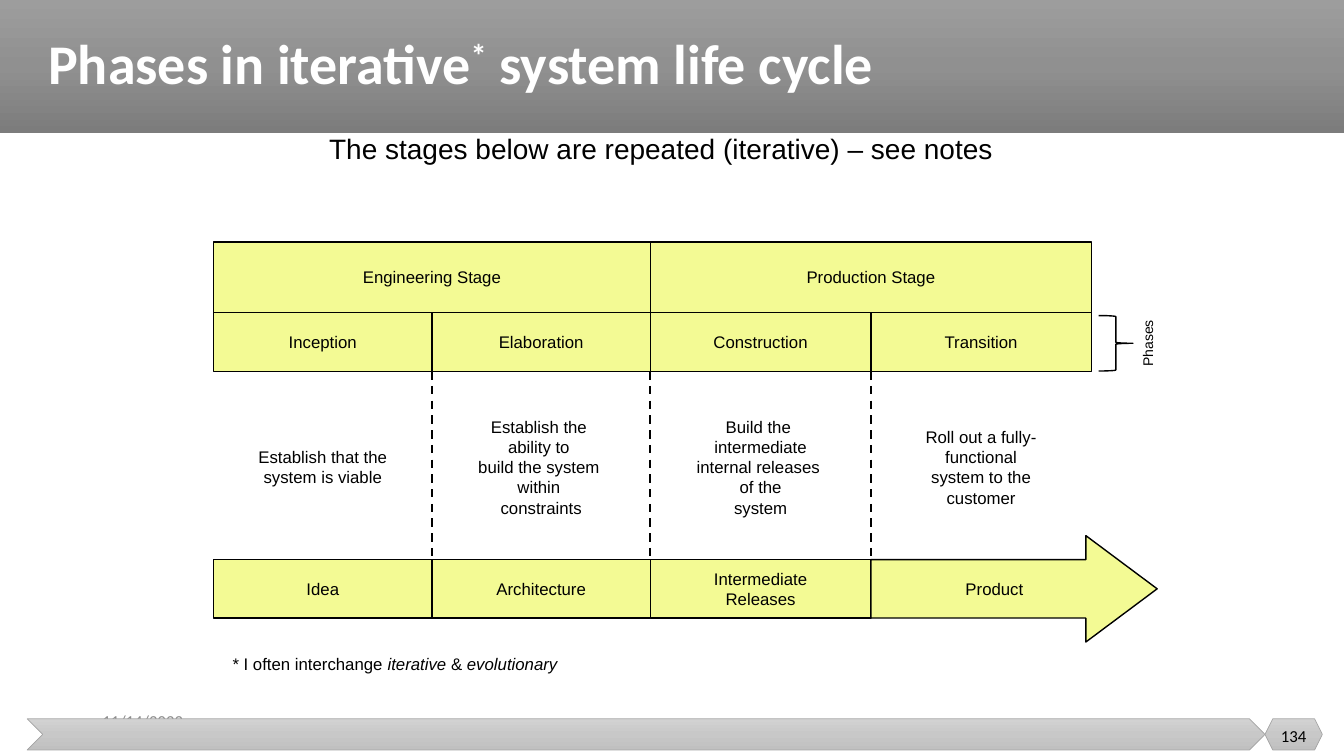
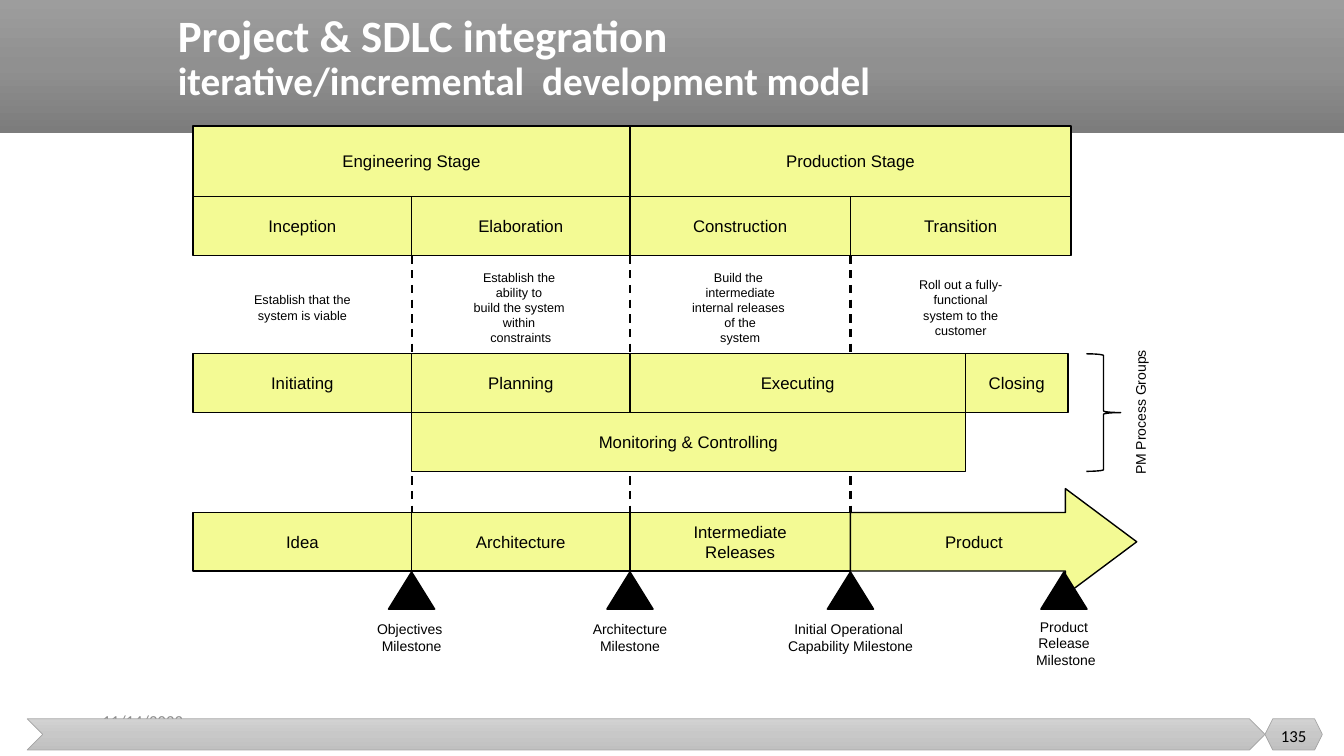
from collections import namedtuple
from copy import deepcopy
from itertools import pairwise

from lxml.etree import SubElement
from pptx import Presentation
from pptx.dml.color import RGBColor
from pptx.enum.dml import MSO_LINE
from pptx.enum.shapes import MSO_CONNECTOR, MSO_SHAPE as Preset
from pptx.enum.text import MSO_ANCHOR as Anchor, PP_ALIGN as Align
from pptx.oxml.ns import qn
from pptx.util import Pt

COLORS = {
    "ink": "000000",
    "title": "FFFFFF",
    "box": "F3FA94",
    "date": "8C8C8C",
    "footer_line": "A5A5A5",
}
BAND_GRADIENT = ("9D9D9D", "909090", "7C7C7C")
FOOTER_GRADIENT = ("D2D2D2", "C8C8C8", "C0C0C0")

Box = namedtuple("Box", "left top width height")

COLUMNS = (0, 156, 312, 469.5, 627)
STAGE_HEIGHT = 50.4
ROW_HEIGHT = 42
STAGES = ("Engineering Stage", "Production Stage")
PHASES = ("Inception", "Elaboration", "Construction", "Transition")
GOALS = (
    ("Establish that the", "system is viable"),
    ("Establish the ", "ability to ", "build the system ", "within ", "constraints"),
    ("Build the ", "intermediate", "internal releases ", "of the", "system"),
    ("Roll out a fully-", "functional", "system to the", "customer"),
)
OUTPUTS = ("Idea", "Architecture", "Intermediate\nReleases")
MILESTONES = (
    (156, 440, ("Objectives ", "Milestone")),
    (312, 440, ("Architecture", "Milestone")),
    (469.5, 440, ("Initial Operational ", "Capability Milestone")),
    (622, 438, ("Product", "Release", " Milestone")),
)


def rgb(name):
    return RGBColor.from_string(COLORS[name])


def plain(lines):
    return [[(line, {})] for line in lines]


def write(shape, paragraphs, size, font="Arial", color="ink", bold=False,
          align=Align.CENTER, anchor=Anchor.MIDDLE, spacing=None):
    frame = shape.text_frame
    frame.word_wrap = True
    frame.vertical_anchor = anchor
    for index, runs in enumerate(paragraphs):
        paragraph = frame.add_paragraph() if index else frame.paragraphs[0]
        paragraph.alignment = align
        if spacing:
            paragraph.line_spacing = spacing
        for text, style in runs:
            if text == "\n":
                paragraph.add_line_break()
                continue
            run = paragraph.add_run()
            run.text = text
            run.font.name = font
            run.font.size = Pt(style.get("size", size))
            run.font.bold = bold
            run.font.italic = style.get("italic", False)
            run.font.color.rgb = rgb(color)
            if "baseline" in style:
                run.font._rPr.set("baseline", style["baseline"])


def add_text(slide, box, paragraphs, size, **style):
    text = slide.shapes.add_textbox(*map(Pt, box))
    write(text, paragraphs, size, **style)
    return text


def add_preset(slide, preset, box, fill="box", line="ink", weight=1, adjust=()):
    shape = slide.shapes.add_shape(preset, *map(Pt, box))
    shape.shadow.inherit = False
    for index, value in enumerate(adjust):
        shape.adjustments[index] = value
    if fill:
        shape.fill.solid()
        shape.fill.fore_color.rgb = rgb(fill)
    else:
        shape.fill.background()
    if line:
        shape.line.color.rgb = rgb(line)
        shape.line.width = Pt(weight)
    else:
        shape.line.fill.background()
    return shape


def shade(shape, colors):
    shape.fill.gradient()
    shape.fill.gradient_angle = 270
    stops = shape.element.spPr.find(".//" + qn("a:gsLst"))
    stops.append(deepcopy(stops[0]))
    for stop, position, color in zip(shape.fill.gradient_stops, (0, 0.5, 1), colors):
        stop.position = position
        stop.color.rgb = RGBColor.from_string(color)


def add_frame(slide, title_box, title, title_size, number):
    band = add_preset(slide, Preset.RECTANGLE, Box(0, 0, 960, 95), line=None)
    shade(band, BAND_GRADIENT)
    add_text(slide, Box(66, 500.4, 216, 28.8), plain(["11/14/2022"]), 12,
             font="Calibri", color="date", align=Align.LEFT)
    for preset, left, width in ((Preset.CHEVRON, 19.4, 884.2), (Preset.HEXAGON, 903.6, 41)):
        footer = add_preset(slide, preset, Box(left, 513.4, width, 22.3),
                            line="footer_line", weight=0.5)
        shade(footer, FOOTER_GRADIENT)
    add_text(slide, Box(903.6, 511.2, 41, 28.8), plain([number]), 12, font="Calibri")
    add_text(slide, title_box, [title], title_size, font="Calibri", color="title",
             bold=True, align=Align.LEFT, spacing=0.9)


def add_row(slide, left, top, edges, labels, height=ROW_HEIGHT):
    for (start, end), label in zip(pairwise(edges), labels):
        cell = add_preset(slide, Preset.RECTANGLE,
                          Box(left + start, top, end - start, height))
        write(cell, plain(label.split("\n")), 12)


def add_goals(slide, left, middle, size):
    for (start, end), lines in zip(pairwise(COLUMNS), GOALS):
        add_text(slide, Box(left + start, middle - 40, end - start, 80), plain(lines), size)


def add_dividers(slide, left, top, bottom):
    for edge in COLUMNS[1:-1]:
        x = Pt(left + edge)
        divider = slide.shapes.add_connector(MSO_CONNECTOR.STRAIGHT, x, Pt(top), x, Pt(bottom))
        divider.line.color.rgb = rgb("ink")
        divider.line.width = Pt(1.5)
        divider.line.dash_style = MSO_LINE.DASH
        SubElement(divider.element.spPr, qn("a:effectLst"))


def add_life_cycle(slide, box, goal_middle, goal_size):
    phase_top = box.top + STAGE_HEIGHT
    output_top = box.top + box.height - ROW_HEIGHT
    add_row(slide, box.left, box.top, COLUMNS[::2], STAGES, STAGE_HEIGHT)
    add_row(slide, box.left, phase_top, COLUMNS, PHASES)
    add_dividers(slide, box.left, phase_top + ROW_HEIGHT, output_top)
    add_row(slide, box.left, output_top, COLUMNS[:-1], OUTPUTS)
    product = add_preset(slide, Preset.RIGHT_ARROW,
                         Box(box.left + COLUMNS[3], output_top - 17, 204.5, 76),
                         adjust=(0.55, 0.67))
    write(product, plain(["Product"]), 12)
    add_goals(slide, box.left, goal_middle, goal_size)


def add_brace(slide, box, label, gap, bend):
    add_preset(slide, Preset.RIGHT_BRACE, box, fill=None, adjust=(bend, 0.5))
    center = box.left + box.width + gap
    middle = box.top + box.height / 2
    caption = add_text(slide, Box(center - 60, middle - 10, 120, 20), plain([label]), 10)
    caption.rotation = 270


def add_process_groups(slide, left, top):
    add_row(slide, left, top, (0, 156, 312, 551.5, 625),
            ("Initiating", "Planning", "Executing", "Closing"))
    add_row(slide, left, top + ROW_HEIGHT, (156, 551.5), ("Monitoring & Controlling",))
    add_brace(slide, Box(left + 638, top, 24.5, 2 * ROW_HEIGHT), "PM Process Groups", 14, 0.05)


def add_milestones(slide, left, top):
    for offset, label_top, lines in MILESTONES:
        center = left + offset
        add_preset(slide, Preset.ISOSCELES_TRIANGLE,
                   Box(center - 16.5, top, 33, 26.6), fill="ink")
        add_text(slide, Box(center - 60, label_top, 120, 44), plain(lines), 10,
                 anchor=Anchor.TOP)


def build_phases(slide):
    title = [("Phases in iterative", {}), ("*", {"baseline": "30000"}),
             (" system life cycle", {})]
    add_frame(slide, Box(27.4, 0, 917, 95), title, 40, "134")
    add_life_cycle(slide, Box(152.6, 172.8, 627, 268.8), 333.7, 12)
    add_brace(slide, Box(784.8, 225.4, 24.5, 39.6), "Phases", 10.4, 0.03)
    footnote = [("* I often interchange ", {}), ("iterative ", {"italic": True}),
                ("& ", {}), ("evolutionary", {"italic": True})]
    add_text(slide, Box(159, 463.7, 300, 21.6), [footnote], 12, align=Align.LEFT)
    add_text(slide, Box(228, 90, 520, 31.7),
             plain(["The stages below are repeated (iterative) – see notes"]), 20,
             align=Align.LEFT)


def build_integration(slide):
    title = [("Project & SDLC integration", {}), ("\n", {}),
             ("iterative/incremental  development model", {"size": 28})]
    add_frame(slide, Box(120, 0, 720, 84), title, 32, "135")
    add_life_cycle(slide, Box(138, 90, 627, 318), 219.6, 9)
    add_process_groups(slide, 138, 252.7)
    add_milestones(slide, 138, 408.5)


def main():
    deck = Presentation()
    deck.slide_width, deck.slide_height = Pt(960), Pt(540)
    for build in (build_phases, build_integration):
        build(deck.slides.add_slide(deck.slide_layouts[6]))
    deck.save("out.pptx")


if __name__ == "__main__":
    main()
